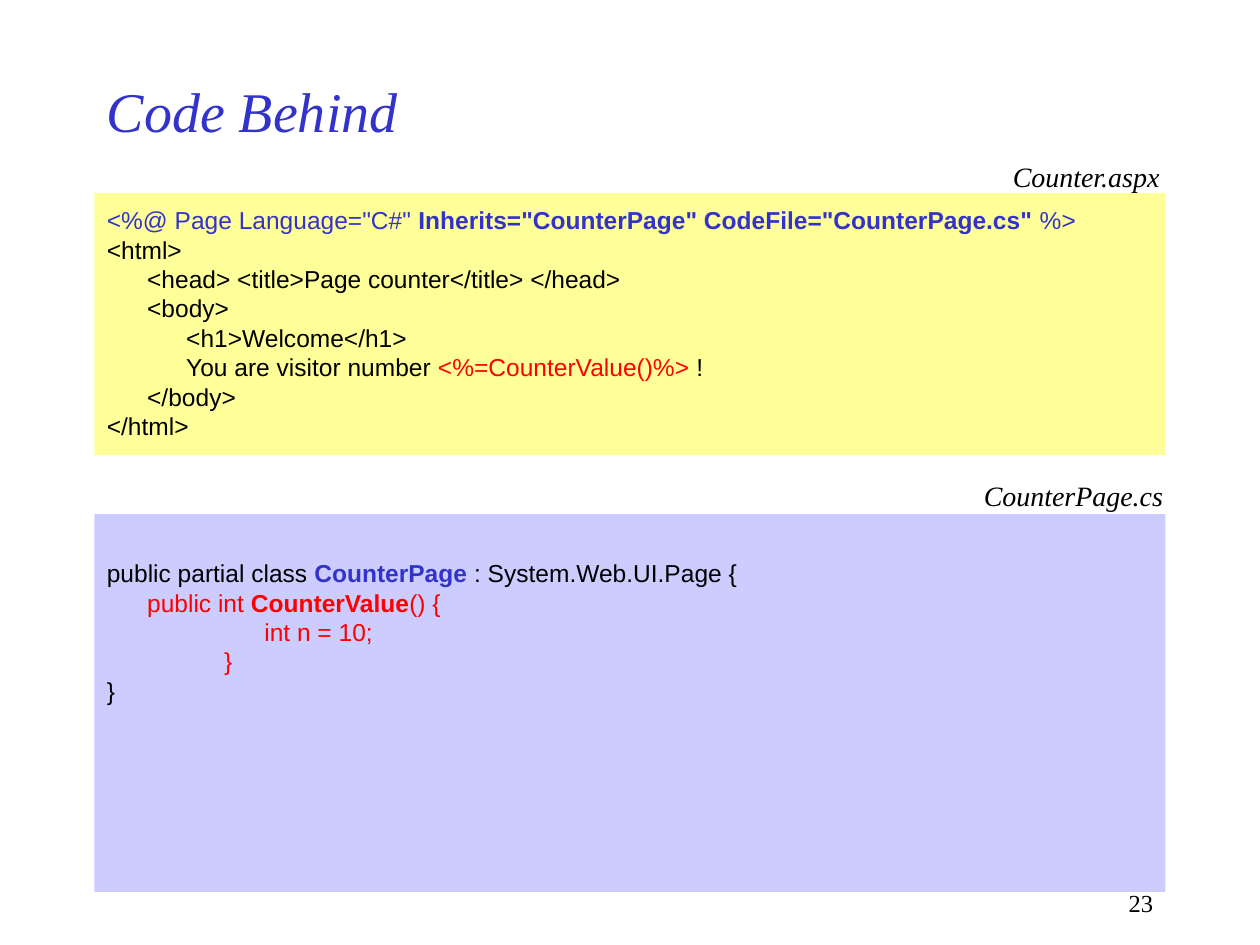
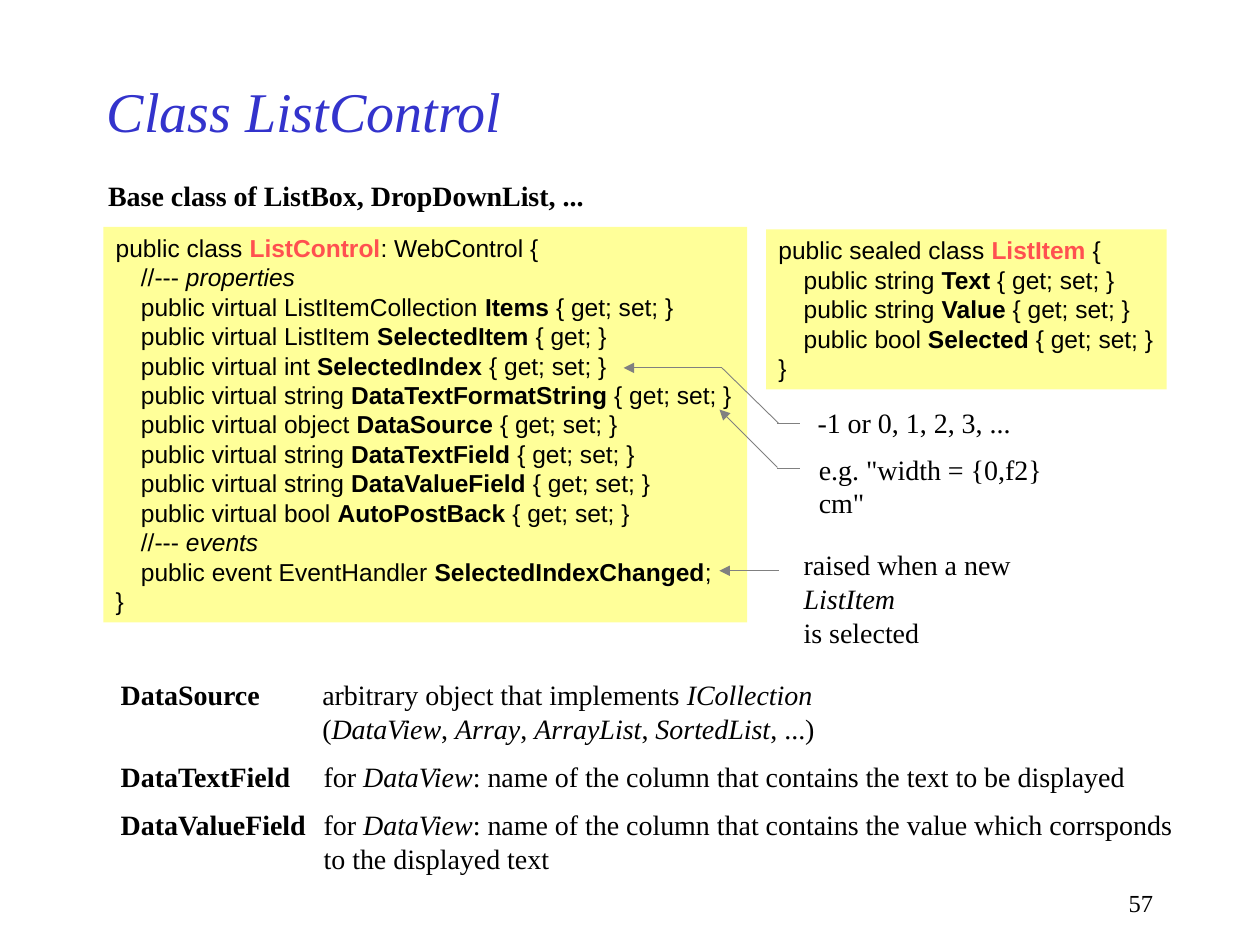
"""Builds two slides about server-side web page code and list controls."""
from dataclasses import dataclass
from typing import NamedTuple

from lxml.etree import SubElement
from pptx import Presentation
from pptx.dml.color import RGBColor
from pptx.enum.shapes import MSO_CONNECTOR, MSO_SHAPE
from pptx.enum.text import MSO_ANCHOR, MSO_AUTO_SIZE, PP_ALIGN
from pptx.oxml.ns import qn
from pptx.slide import Slide
from pptx.text.text import TextFrame
from pptx.util import Inches, Pt

BLACK, BLUE, RED, CORAL, GRAY = "000000", "3333CC", "FF0000", "FF5050", "808080"
YELLOW, LAVENDER = "FFFF99", "CCCCFF"
LINE_HEIGHT = 1.2
PAGE_CODE_TABS = (0.32, 0.63, 0.93, 1.25)
CLASS_CODE_TABS = (0.2,)


class Span(NamedTuple):
    """A stretch of text in one style."""
    text: str
    color: str = BLACK
    bold: bool = False
    italic: bool = False


Line = list[Span]


class Box(NamedTuple):
    """A position and size in inches."""
    left: float
    top: float
    width: float
    height: float


class Pointer(NamedTuple):
    """A thin line, with or without an arrowhead at its end."""
    start: tuple[float, float]
    end: tuple[float, float]
    arrow: bool = False


@dataclass(frozen=True)
class Style:
    """How the lines of a text are set."""
    font: str = "Times New Roman"
    size: int = 16
    tabs: tuple[float, ...] = ()
    align: PP_ALIGN = PP_ALIGN.LEFT
    anchor: MSO_ANCHOR = MSO_ANCHOR.TOP
    wrap: bool = False


@dataclass(frozen=True)
class Label:
    """Lines of text at a place, on a fill if one is given."""
    box: Box
    lines: list[Line]
    style: Style = Style()
    fill: str | None = None


TITLE = Style(size=32, anchor=MSO_ANCHOR.MIDDLE, wrap=True)
PAGE_NUMBER = Style(size=14, align=PP_ALIGN.RIGHT, wrap=True)
PAGE_CODE = Style("Arial", 14, PAGE_CODE_TABS, wrap=True)
CLASS_CODE = Style("Arial", 14, CLASS_CODE_TABS)


def rgb(color: str) -> RGBColor:
    """Turn a hex string into a colour."""
    return RGBColor.from_string(color)


def plain(text: str) -> Line:
    """Return a line in the default style."""
    return [Span(text)]


def bold(text: str) -> Line:
    """Return a bold line."""
    return [Span(text, bold=True)]


def italic(text: str) -> Line:
    """Return an italic line."""
    return [Span(text, italic=True)]


def member(kind: str, name: str, ending: str = " { get; set; }") -> Line:
    """Return the declaration of a public class member."""
    return [Span(f"\tpublic {kind} "), Span(name, bold=True), Span(ending)]


def class_head(start: str, name: str, ending: str) -> Line:
    """Return the first line of a class with its name picked out."""
    return [Span(start), Span(name, CORAL, bold=True), Span(ending)]


def comment(topic: str) -> Line:
    """Return a comment line that opens a group of members."""
    return [Span("\t//--- "), Span(topic, italic=True)]


def write(frame: TextFrame, lines: list[Line], style: Style) -> None:
    """Fill a text frame with styled lines."""
    frame.word_wrap = style.wrap
    frame.auto_size = MSO_AUTO_SIZE.NONE if style.wrap else MSO_AUTO_SIZE.SHAPE_TO_FIT_TEXT
    frame.vertical_anchor = style.anchor
    for index, line in enumerate(lines):
        paragraph = frame.add_paragraph() if index else frame.paragraphs[0]
        paragraph.alignment = style.align
        paragraph.line_spacing = Pt(style.size * LINE_HEIGHT)
        if style.tabs:
            stops = SubElement(paragraph._p.get_or_add_pPr(), qn("a:tabLst"))
            for stop in style.tabs:
                SubElement(stops, qn("a:tab"), pos=str(Inches(stop)), algn="l")
        for span in line:
            run = paragraph.add_run()
            run.text = span.text
            run.font.name, run.font.size = style.font, Pt(style.size)
            run.font.bold, run.font.italic = span.bold, span.italic
            run.font.color.rgb = rgb(span.color)


def draw_panel(slide: Slide, box: Box, fill: str) -> TextFrame:
    """Draw a filled rectangle and return its text frame."""
    panel = slide.shapes.add_shape(MSO_SHAPE.RECTANGLE, *map(Inches, box))
    panel.shadow.inherit = False
    panel.fill.solid()
    panel.fill.fore_color.rgb = rgb(fill)
    panel.line.fill.background()
    return panel.text_frame


def draw_label(slide: Slide, label: Label) -> None:
    """Draw a label."""
    if label.fill:
        frame = draw_panel(slide, label.box, label.fill)
    else:
        frame = slide.shapes.add_textbox(*map(Inches, label.box)).text_frame
    write(frame, label.lines, label.style)


def draw_pointer(slide: Slide, pointer: Pointer) -> None:
    """Draw a thin gray line or arrow."""
    line = slide.shapes.add_connector(
        MSO_CONNECTOR.STRAIGHT, *map(Inches, pointer.start + pointer.end))
    line.line.color.rgb = rgb(GRAY)
    line.line.width = Pt(0.5)
    if pointer.arrow:
        SubElement(line.line._get_or_add_ln(), qn("a:tailEnd"), type="triangle")
    SubElement(line._element.spPr, qn("a:effectLst"))


def add_slide(deck: Presentation, title: str, number: int) -> Slide:
    """Add a slide with its title and page number."""
    slide = deck.slides.add_slide(deck.slide_layouts[6])
    draw_label(slide, Label(Box(7.17, 7, 2.08, 0.33), [plain(str(number))], PAGE_NUMBER))
    heading = [Span(title, BLUE, italic=True)]
    draw_label(slide, Label(Box(0.75, 0.5, 7.5, 0.75), [heading], TITLE))
    return slide


def build_code_behind(deck: Presentation) -> None:
    """Show a page and the class behind it."""
    slide = add_slide(deck, "Code Behind", 23)
    draw_panel(slide, Box(0.75, 1.53, 8.5, 2.08), YELLOW)
    draw_panel(slide, Box(0.75, 4.08, 8.5, 3), LAVENDER)
    page = [
        [Span('<%@ Page Language="C#" ', BLUE),
         Span('Inherits="CounterPage" CodeFile="CounterPage.cs"', BLUE, bold=True),
         Span(" %>", BLUE)],
        plain("<html>"),
        plain("\t<head> <title>Page counter</title> </head>"),
        plain("\t<body>"),
        plain("\t\t<h1>Welcome</h1>"),
        [Span("\t\tYou are visitor number "), Span("<%=CounterValue()%>", RED), Span(" !")],
        plain("\t</body>"),
        plain("</html>"),
    ]
    page_class = [
        [Span("public partial class "), Span("CounterPage", BLUE, bold=True),
         Span(" : System.Web.UI.Page {")],
        [Span("\tpublic int ", RED), Span("CounterValue", RED, bold=True), Span("() {", RED)],
        [Span("\t\t\t\tint n = 10;", RED)],
        [Span("\t\t\t}", RED)],
        plain("}"),
    ]
    listing = slide.shapes.add_textbox(*map(Inches, Box(0.75, 1.58, 8.5, 5.5))).text_frame
    write(listing, page + page_class, PAGE_CODE)
    gap_lines = 4
    class_start = listing.paragraphs[len(page)]
    class_start.space_before = Pt(gap_lines * PAGE_CODE.size * LINE_HEIGHT)
    draw_label(slide, Label(Box(7.71, 3.75, 1.62, 0.37), [italic("CounterPage.cs")]))
    draw_label(slide, Label(Box(7.94, 1.22, 1.39, 0.37), [italic("Counter.aspx")]))


def build_list_control(deck: Presentation) -> None:
    """Show the members of the list control class with remarks."""
    slide = add_slide(deck, "Class ListControl", 57)
    list_control = [
        class_head("public class ", "ListControl", ": WebControl {"),
        comment("properties"),
        member("virtual ListItemCollection", "Items"),
        member("virtual ListItem", "SelectedItem", " { get; }"),
        member("virtual int", "SelectedIndex"),
        member("virtual string", "DataTextFormatString"),
        member("virtual object", "DataSource"),
        member("virtual string", "DataTextField"),
        member("virtual string", "DataValueField"),
        member("virtual bool", "AutoPostBack"),
        comment("events"),
        member("event EventHandler", "SelectedIndexChanged", ";"),
        plain("}"),
    ]
    list_item = [
        class_head("public sealed class ", "ListItem", " {"),
        member("string", "Text"),
        member("string", "Value"),
        member("bool", "Selected"),
        plain("}"),
    ]
    collections = [Span("(")]
    for name in ("DataView", "Array", "ArrayList", "SortedList"):
        collections += [Span(name, italic=True), Span(", ")]
    collections[-1] = Span(", ...)")
    for_view = [Span("for "), Span("DataView", italic=True)]
    column = ": name of the column that contains the "
    labels = [
        Label(Box(0.82, 1.8, 5.11, 3.14), list_control, CLASS_CODE, YELLOW),
        Label(Box(6.08, 1.82, 3.18, 1.27), list_item, CLASS_CODE, YELLOW),
        Label(Box(0.76, 1.37, 3.98, 0.37), [bold("Base class of ListBox, DropDownList, ...")]),
        Label(Box(6.39, 3.17, 1.73, 0.37), [plain("-1 or 0, 1, 2, 3, ...")]),
        Label(Box(6.4, 3.54, 2.38, 0.37), [plain('e.g. "width = {0,f2} cm"')]),
        Label(Box(6.28, 4.3, 2.62, 0.64),
              [[Span("raised when a new "), Span("ListItem", italic=True)],
               plain("is selected")]),
        Label(Box(0.86, 5.33, 1.31, 0.37), [bold("DataSource")]),
        Label(Box(2.46, 5.33, 4.12, 0.64),
              [[Span("arbitrary object that implements "), Span("ICollection", italic=True)],
               collections]),
        Label(Box(0.86, 5.98, 1.56, 0.37), [bold("DataTextField")]),
        Label(Box(2.47, 5.98, 6.58, 0.37),
              [for_view + plain(column + "text to be displayed")]),
        Label(Box(0.86, 6.36, 1.69, 0.37), [bold("DataValueField")]),
        Label(Box(2.47, 6.36, 6.95, 0.64),
              [for_view + plain(column + "value which corrsponds"),
               plain("to the displayed text")]),
    ]
    for label in labels:
        draw_label(slide, label)
    pointers = [
        Pointer((6.18, 4.53), (5.71, 4.53), arrow=True),
        Pointer((5.73, 2.92), (4.95, 2.92), arrow=True),
        Pointer((5.73, 2.92), (6.18, 3.36)),
        Pointer((6.17, 3.36), (6.35, 3.36)),
        Pointer((6.17, 3.72), (6.35, 3.72)),
        Pointer((6.17, 3.71), (5.71, 3.25), arrow=True),
    ]
    for pointer in pointers:
        draw_pointer(slide, pointer)


def main() -> None:
    """Build and save the deck."""
    deck = Presentation()
    deck.slide_width, deck.slide_height = Inches(10), Inches(7.5)
    build_code_behind(deck)
    build_list_control(deck)
    deck.save("out.pptx")


if __name__ == "__main__":
    main()
